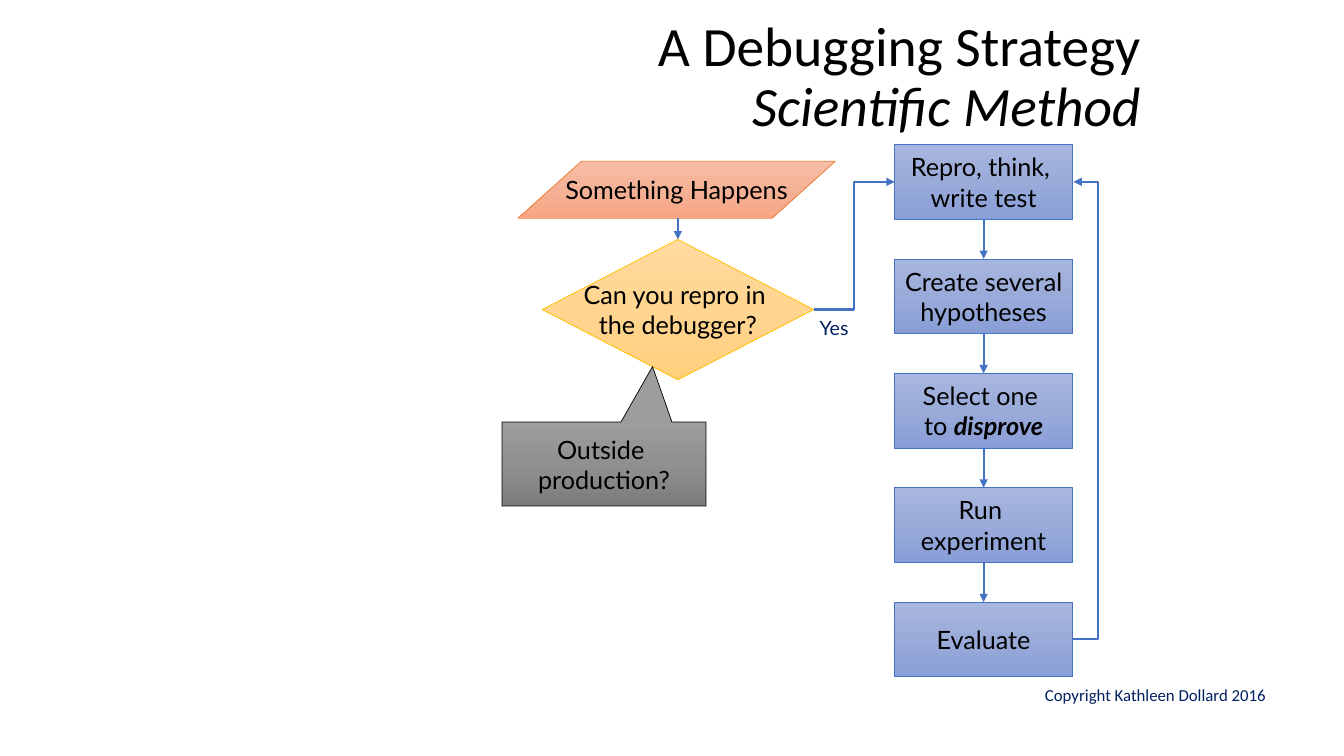
from copy import deepcopy
from typing import NamedTuple

from lxml.etree import SubElement
from pptx import Presentation
from pptx.dml.color import RGBColor
from pptx.enum.shapes import MSO_CONNECTOR as LINK, MSO_SHAPE as SHAPE
from pptx.enum.text import MSO_ANCHOR as ANCHOR, MSO_AUTO_SIZE as AUTO, PP_ALIGN as ALIGN
from pptx.oxml.ns import qn
from pptx.util import Emu, Inches, Pt

COLS, ROWS = 160, 90
WIDTH, HEIGHT = Inches(13.333), Inches(7.5)
BLACK, NAVY, BLUE = "000000", "002060", "4472C4"
STEP_X, STEP_Y, STEP_W, STEP_H, STEP_PITCH = 106.5, 17.2, 21.2, 8.9, 13.62
STEP_MID, STEP_RIGHT = STEP_X + STEP_W / 2, STEP_X + STEP_W
ENTRY_Y = STEP_Y + STEP_H / 2
DECISION_MID = 80.7


class Box(NamedTuple):
    x: float
    y: float
    w: float
    h: float


class Run(NamedTuple):
    text: str
    fmt: dict = {}


class Look(NamedTuple):
    stops: tuple
    line: str


class Node(NamedTuple):
    kind: SHAPE
    box: Box
    look: Look
    runs: tuple
    adjust: tuple = ()


class Label(NamedTuple):
    box: Box
    text: str
    font: dict
    align: ALIGN


class Arrow(NamedTuple):
    x1: float
    y1: float
    x2: float
    y2: float
    kind: LINK = LINK.STRAIGHT
    bend: float = 0.5


ORANGE = Look(("F7BDA5", "F5B196", "F8A582"), "ED7D31")
GOLD = Look(("FFDB9E", "FFD590", "FFD07C"), "FFC000")
STEEL = Look(("A8B7DF", "9AABD9", "889ED7"), BLUE)
GREY = Look(("9D9D9D", "909090", "7C7C7C"), BLACK)

TITLE_FONT = {"name": "Calibri", "size": Pt(39.6)}
NODE_FONT = {"name": "Lato", "size": Pt(18)}
TITLE_BOX = Box(75, 4.4, 62, 10)
TITLE = (Run("A Debugging Strategy\n"), Run("Scientific Method", {"italic": True}))

STEPS = (
    (Run("Repro, think, \nwrite test"),),
    (Run("Create several\nhypotheses"),),
    (Run("Select one \nto "), Run("disprove", {"bold": True, "italic": True})),
    (Run("Run \nexperiment"),),
    (Run("Evaluate"),),
)
STEP_TOPS = [STEP_Y + i * STEP_PITCH for i in range(len(STEPS))]

NODES = [
    Node(SHAPE.FLOWCHART_DATA, Box(61.65, 19.2, 37.8, 6.8), ORANGE,
         (Run("Something Happens"),)),
    Node(SHAPE.FLOWCHART_DECISION, Box(64.55, 28.5, 32.3, 16.7), GOLD,
         (Run("Can you repro in \nthe debugger?"),)),
    *(Node(SHAPE.FLOWCHART_PROCESS, Box(STEP_X, top, STEP_W, STEP_H), STEEL, runs)
      for top, runs in zip(STEP_TOPS, STEPS)),
    Node(SHAPE.RECTANGULAR_CALLOUT, Box(59.75, 50.25, 24.3, 10), GREY,
         (Run("Outside \nproduction?"),), (0.238, -1.161)),
]

ARROWS = [
    Arrow(DECISION_MID, 26, DECISION_MID, 28.5),
    Arrow(96.85, 36.85, STEP_X, ENTRY_Y, LINK.ELBOW),
    *(Arrow(STEP_MID, top + STEP_H, STEP_MID, top + STEP_PITCH) for top in STEP_TOPS[:-1]),
    Arrow(STEP_RIGHT, STEP_TOPS[-1] + STEP_H / 2, STEP_RIGHT + 0.1, ENTRY_Y, LINK.ELBOW, 30),
]

LABELS = [
    Label(Box(96.4, 37, 6.7, 4.1), "Yes", {"name": "Lato", "size": Pt(14)}, ALIGN.LEFT),
    Label(Box(75.7, 80.9, 76.2, 3.6), "Copyright Kathleen Dollard 2016",
          {"name": "Calibri", "size": Pt(12)}, ALIGN.RIGHT),
]


def rgb(color: str) -> RGBColor:
    """Turn a hex string into a colour."""
    return RGBColor.from_string(color)


def col(n: float) -> Emu:
    """Give the offset of a grid column."""
    return Emu(round(WIDTH * n / COLS))


def row(n: float) -> Emu:
    """Give the offset of a grid row."""
    return Emu(round(HEIGHT * n / ROWS))


def place(box: Box) -> tuple:
    """Turn a grid box into left, top, width and height."""
    return col(box.x), row(box.y), col(box.w), row(box.h)


def assign(target: object, values: dict) -> None:
    """Set every named attribute on the target."""
    for name, value in values.items():
        setattr(target, name, value)


def write(tf: object, runs: tuple, font: dict, color: str, align: ALIGN, frame: dict) -> None:
    """Fill a text frame with one paragraph of formatted runs."""
    assign(tf, frame)
    p = tf.paragraphs[0]
    p.alignment = align
    for run in runs:
        for i, line in enumerate(run.text.split("\n")):
            if i:
                p.add_line_break()
            if line:
                r = p.add_run()
                r.text = line
                assign(r.font, font | run.fmt)
                r.font.color.rgb = rgb(color)


def paint(s: object, look: Look) -> None:
    """Give a shape a three-stop vertical gradient and a thin outline."""
    s.shadow.inherit = False
    s.fill.gradient()
    s.fill.gradient_angle = 270
    stops = s._element.spPr.find(qn("a:gradFill")).find(qn("a:gsLst"))
    stops.insert(1, deepcopy(stops[0]))
    for stop, position, color in zip(s.fill.gradient_stops, (0, 0.5, 1), look.stops):
        stop.position = position
        stop.color.rgb = rgb(color)
    s.line.color.rgb = rgb(look.line)
    s.line.width = Pt(0.5)


def add_node(shapes: object, node: Node) -> None:
    """Draw one flowchart shape with its text."""
    s = shapes.add_shape(node.kind, *place(node.box))
    for i, value in enumerate(node.adjust):
        s.adjustments[i] = value
    paint(s, node.look)
    frame = {"word_wrap": False, "vertical_anchor": ANCHOR.MIDDLE}
    write(s.text_frame, node.runs, NODE_FONT, BLACK, ALIGN.CENTER, frame)


def add_arrow(shapes: object, a: Arrow) -> None:
    """Draw one connector with an arrowhead at its end."""
    s = shapes.add_connector(a.kind, col(a.x1), row(a.y1), col(a.x2), row(a.y2))
    s.line.color.rgb = rgb(BLUE)
    s.line.width = Pt(1.5)
    props = s._element.spPr
    SubElement(props.find(qn("a:ln")), qn("a:tailEnd"), type="triangle")
    SubElement(props, qn("a:effectLst"))
    if a.kind == LINK.ELBOW:
        guides = props.find(qn("a:prstGeom")).find(qn("a:avLst"))
        SubElement(guides, qn("a:gd"), name="adj1", fmla=f"val {round(a.bend * 100000)}")


def add_label(shapes: object, label: Label) -> None:
    """Draw one plain text label."""
    s = shapes.add_textbox(*place(label.box))
    write(s.text_frame, (Run(label.text),), label.font, NAVY, label.align, {"word_wrap": True})


def main() -> None:
    """Build the debugging strategy slide."""
    prs = Presentation()
    assign(prs, {"slide_width": WIDTH, "slide_height": HEIGHT})
    shapes = prs.slides.add_slide(prs.slide_layouts[5]).shapes
    title = shapes.title
    assign(title, dict(zip(("left", "top", "width", "height"), place(TITLE_BOX))))
    frame = {"word_wrap": True, "auto_size": AUTO.NONE, "vertical_anchor": ANCHOR.MIDDLE}
    write(title.text_frame, TITLE, TITLE_FONT, BLACK, ALIGN.RIGHT, frame)
    title.text_frame.paragraphs[0].line_spacing = 0.9
    for draw, items in ((add_node, NODES), (add_arrow, ARROWS), (add_label, LABELS)):
        for item in items:
            draw(shapes, item)
    prs.save("out.pptx")


if __name__ == "__main__":
    main()
